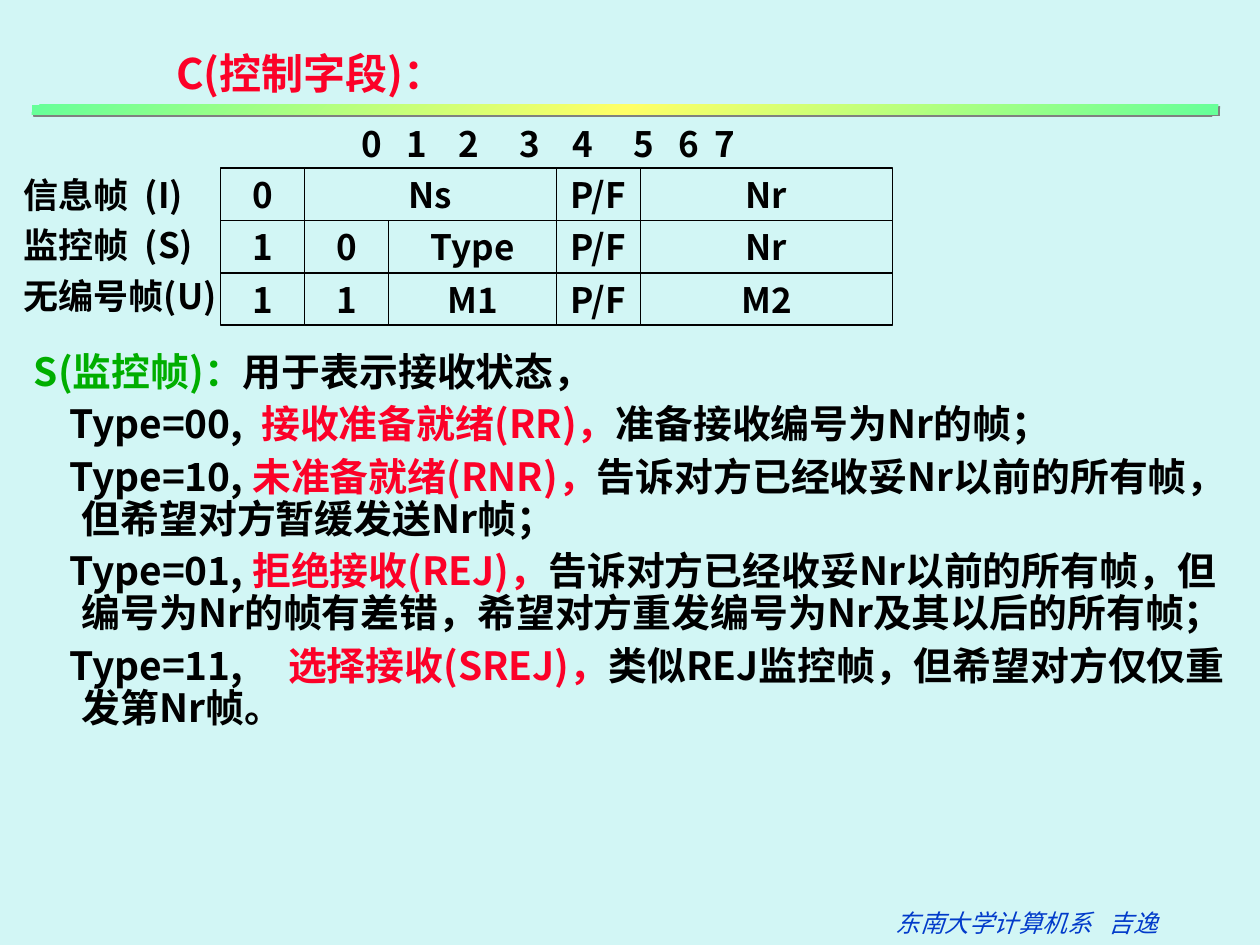
from copy import deepcopy
from dataclasses import dataclass
from itertools import chain, zip_longest

from lxml.etree import SubElement
from pptx import Presentation
from pptx.dml.color import RGBColor as RGB
from pptx.enum.shapes import MSO_SHAPE as SHAPE
from pptx.enum.text import MSO_ANCHOR as ANCHOR, PP_ALIGN as ALIGN
from pptx.oxml.ns import qn
from pptx.util import Inches, Pt


@dataclass(frozen=True)
class Theme:
    background: str = "D2F6F5"
    black: str = "000000"
    red: str = "FC0128"
    green: str = "00AE00"
    blue: str = "023BCA"
    bar_edge: str = "66FF99"
    bar_middle: str = "FFFF66"
    shadow: str = "808080"
    sans: str = "Noto Sans CJK SC"
    serif: str = "Times New Roman"
    title_size: float = 24
    body_size: float = 22.2
    field_size: float = 20
    footer_size: float = 14
    space_width: float = 0.23


@dataclass(frozen=True)
class Gap:
    spaces: int


THEME = Theme()

TITLE = "C(控制字段)："
BIT_GAPS = [Gap(spaces) for spaces in (3, 4, 5, 4, 5, 3, 2)]
BITS = [part for part in chain(*zip_longest("01234567", BIT_GAPS)) if part]
FRAME_LABELS = [["信息帧", Gap(2), "(I)"], ["监控帧", Gap(2), "(S)"], "无编号帧(U)"]
FRAMES = [
    [("0", 1), ("Ns", 3), ("P/F", 1), ("Nr", 3)],
    [("1", 1), ("0", 1), ("Type", 2), ("P/F", 1), ("Nr", 3)],
    [("1", 1), ("1", 1), ("M1", 2), ("P/F", 1), ("M2", 3)],
]
SUPERVISORY = [("S(监控帧)：", THEME.green), "用于表示接收状态，"]
TYPES = [
    ("Type=00,", 2, "接收准备就绪(RR)，", ["准备接收编号为Nr的帧；"]),
    ("Type=10,", 1, "未准备就绪(RNR)，",
     ["告诉对方已经收妥Nr以前的所有帧，", Gap(2), "但希望对方暂缓发送Nr帧；"]),
    ("Type=01,", 1, "拒绝接收(REJ)，",
     ["告诉对方已经收妥Nr以前的所有帧，但编号为Nr的帧有差错，希望对方重发编号为Nr及其以后的所有帧；"]),
    ("Type=11,", 5, "选择接收(SREJ)，", ["类似REJ监控帧，但希望对方仅仅重发第Nr帧。"]),
]
FOOTER = ["东南大学计算机系", Gap(3), "吉逸"]

FIELD_LEFT, FIELD_TOP = 1.75, 4 / 3
BIT_WIDTH, FRAME_HEIGHT = 2 / 3, 5 / 12


def write(paragraph, text, size=THEME.field_size, font=THEME.sans, color=THEME.black,
          bold=True, italic=False, align=ALIGN.LEFT, spacing=None, before=0,
          margin=0, indent=0):
    paragraph.alignment = align
    paragraph.space_before = Pt(before)
    if spacing:
        paragraph.line_spacing = spacing
    properties = paragraph._p.get_or_add_pPr()
    properties.set("marL", str(Inches(margin)))
    properties.set("indent", str(Inches(indent)))
    properties.set("hangingPunct", "0")
    for part in [text] if isinstance(text, str) else text:
        run = paragraph.add_run()
        words, part_color = part if isinstance(part, tuple) else (part, color)
        if isinstance(part, Gap):
            words = " "
            extra = (part.spaces - 1) * THEME.space_width * size
            run._r.get_or_add_rPr().set("spc", str(round(extra * 100)))
        run.text = words
        run.font.name = font
        run.font.size = Pt(size)
        run.font.bold = bold
        run.font.italic = italic
        run.font.color.rgb = RGB.from_string(part_color)
        SubElement(run._r.get_or_add_rPr(), qn("a:ea"), typeface=THEME.sans)


def add_text(slide, place, paragraphs, wrap=False, **style):
    frame = slide.shapes.add_textbox(*map(Inches, place)).text_frame
    frame.word_wrap = wrap
    for index, (text, extra) in enumerate(paragraphs):
        paragraph = frame.add_paragraph() if index else frame.paragraphs[0]
        write(paragraph, text, **{**style, **extra})


def add_bar(slide):
    bar = slide.shapes.add_shape(SHAPE.RECTANGLE, *map(Inches, (0.25, 0.83, 9.42, 0.08)))
    bar.line.fill.background()
    bar.fill.gradient()
    bar.fill.gradient_angle = 135
    first = bar.fill.gradient_stops[0]._gs
    first.addnext(deepcopy(first))
    colors = [THEME.bar_edge, THEME.bar_middle, THEME.bar_edge]
    for index, (stop, color) in enumerate(zip(bar.fill.gradient_stops, colors)):
        stop.position = index / 2
        stop.color.rgb = RGB.from_string(color)
    bar.shadow.inherit = False
    effects = bar._element.spPr.find(qn("a:effectLst"))
    shadow = SubElement(effects, qn("a:outerShdw"), blurRad="0", dist=str(Pt(1.4)),
                        dir="2700000", algn="ctr", rotWithShape="0")
    SubElement(shadow, qn("a:srgbClr"), val=THEME.shadow)


def add_frames(slide):
    group = slide.shapes.add_group_shape()
    for row, fields in enumerate(FRAMES):
        bit = 0
        for label, span in fields:
            place = (FIELD_LEFT + bit * BIT_WIDTH, FIELD_TOP + row * FRAME_HEIGHT,
                     span * BIT_WIDTH, FRAME_HEIGHT)
            field = group.shapes.add_shape(SHAPE.RECTANGLE, *map(Inches, place))
            field.shadow.inherit = False
            field.fill.background()
            field.line.color.rgb = RGB.from_string(THEME.black)
            field.line.width = Pt(1)
            field.text_frame.word_wrap = False
            field.text_frame.vertical_anchor = ANCHOR.MIDDLE
            write(field.text_frame.paragraphs[0], label, align=ALIGN.CENTER)
            bit += span


def main():
    deck = Presentation()
    deck.slide_width, deck.slide_height = Inches(10), Inches(7.5)
    slide = deck.slides.add_slide(deck.slide_layouts[6])
    slide.background.fill.solid()
    slide.background.fill.fore_color.rgb = RGB.from_string(THEME.background)

    explanation = [(SUPERVISORY, dict(indent=-0.38))]
    for code, spaces, meaning, effect in TYPES:
        explanation.append(([code, Gap(spaces), (meaning, THEME.red), *effect],
                            dict(indent=-0.1, before=6)))
    add_text(slide, (0.17, 2.75, 9.75, 3.75), explanation, wrap=True,
             size=THEME.body_size, spacing=0.9, margin=0.38)
    add_text(slide, (7.01, 7.16, 2.28, 0.34), [(FOOTER, {})], size=THEME.footer_size,
             font=THEME.serif, color=THEME.blue, bold=False, italic=True)
    add_bar(slide)
    add_frames(slide)
    add_text(slide, (2.77, 0.92, 3.36, 0.44), [(BITS, {})])
    add_text(slide, (0.09, 1.26, 1.83, 1.3), [(label, {}) for label in FRAME_LABELS],
             spacing=1.2)
    add_text(slide, (1.3, 0.33, 2.61, 0.5), [(TITLE, {})],
             size=THEME.title_size, color=THEME.red)
    deck.save("out.pptx")


if __name__ == "__main__":
    main()
